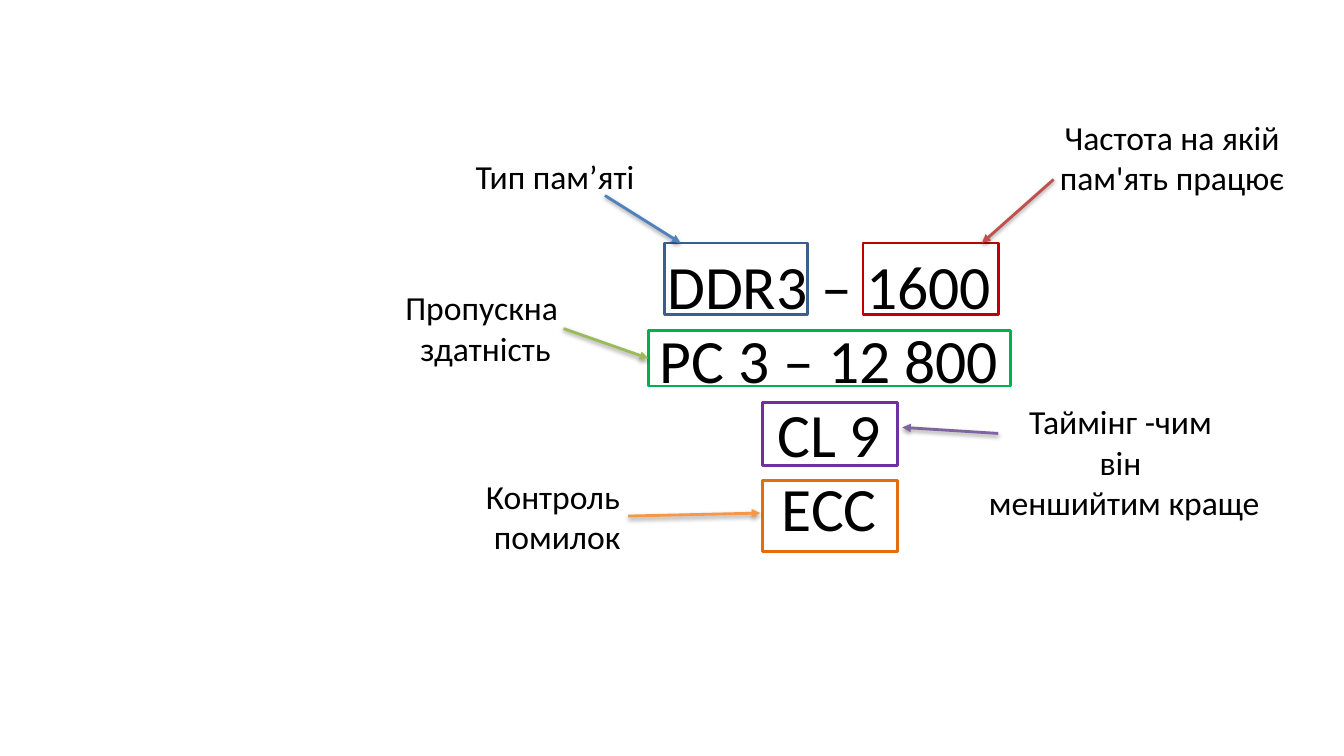
from lxml.etree import SubElement
from pptx import Presentation
from pptx.dml.color import RGBColor
from pptx.enum.shapes import MSO_CONNECTOR, MSO_SHAPE
from pptx.enum.text import MSO_AUTO_SIZE, PP_ALIGN
from pptx.oxml import parse_xml
from pptx.oxml.ns import nsdecls, qn
from pptx.util import Inches, Pt

SHADOW = (
    f'<a:effectLst {nsdecls("a")}>'
    '<a:outerShdw blurRad="40000" dist="20000" dir="5400000" rotWithShape="0">'
    '<a:srgbClr val="000000"><a:alpha val="38000"/></a:srgbClr>'
    '</a:outerShdw></a:effectLst>'
)


def color(hex_code):
    return RGBColor.from_string(hex_code)


def add_text(place, lines, size, align=PP_ALIGN.CENTER):
    """Add an unwrapped text box with one paragraph per line and return its frame."""
    frame = slide.shapes.add_textbox(*map(Inches, place)).text_frame
    frame.word_wrap = False
    frame.auto_size = MSO_AUTO_SIZE.SHAPE_TO_FIT_TEXT
    for i, line in enumerate(lines):
        paragraph = frame.paragraphs[0] if i == 0 else frame.add_paragraph()
        paragraph.alignment = align
        run = paragraph.add_run()
        run.text = line
        run.font.name = "Calibri"
        run.font.size = Pt(size)
        run.font.color.rgb = color("000000")
    return frame


prs = Presentation()
prs.slide_width, prs.slide_height = Inches(13.33), Inches(7.5)
slide = prs.slides.add_slide(prs.slide_layouts[6])

# Memory module marking
add_text((6.43, 2.41, 3.59, 3.06),
         ["DDR3 – 1600", "PC 3 – 12 800", "CL 9", "ECC"], 44)

# Frames around the parts of the marking
frames = {}
for part, place, outline in [
    ("type", (6.59, 2.41, 1.42, 0.71), "3A5F8C"),
    ("frequency", (8.56, 2.41, 1.34, 0.71), "C00000"),
    ("bandwidth", (6.43, 3.28, 3.59, 0.55), "00B050"),
    ("timing", (7.56, 3.99, 1.34, 0.63), "7030A0"),
    ("error check", (7.56, 4.77, 1.34, 0.7), "E46C0A"),
]:
    part_frame = slide.shapes.add_shape(MSO_SHAPE.RECTANGLE, *map(Inches, place))
    part_frame.shadow.inherit = False
    part_frame.fill.background()
    part_frame.line.color.rgb = color(outline)
    part_frame.line.width = Pt(2)
    frames[part] = part_frame

# Arrows from the explanations to the frames
arrows = {}
for part, ends, stroke in [
    ("type", (6, 1.94, 6.75, 2.41), "4F81BD"),
    ("frequency", (10.45, 1.78, 9.74, 2.41), "C0504D"),
    ("bandwidth", (5.59, 3.26, 6.43, 3.55), "9BBB59"),
    ("timing", (9.9, 4.3, 8.95, 4.24), "8064A2"),
    ("error check", (6.23, 5.12, 7.54, 5.09), "F79646"),
]:
    arrow = slide.shapes.add_connector(MSO_CONNECTOR.STRAIGHT, *map(Inches, ends))
    arrow.line.color.rgb = color(stroke)
    arrow.line.width = Pt(2)
    SubElement(arrow.line._get_or_add_ln(), qn("a:tailEnd"), type="triangle")
    arrow._element.spPr.append(parse_xml(SHADOW))
    arrows[part] = arrow
arrows["bandwidth"].end_connect(frames["bandwidth"], 1)

# Explanations
add_text((4.62, 1.5, 1.79, 0.5), ["Тип пам’яті"], 24, PP_ALIGN.LEFT)
add_text((10.4, 1.11, 2.45, 0.91), ["Частота на якій", "пам'ять працює"], 24)
add_text((3.91, 2.8, 1.81, 0.91), ["Пропускна ", "здатність"], 24)
add_text((9.69, 3.93, 2.92, 1.31),
         ["Таймінг -чим ", "він ", "меншийтим краще"], 24)
error_check = add_text((4.72, 4.67, 1.54, 0.91), ["Контроль", "помилок"], 24,
                       PP_ALIGN.LEFT)
indented = error_check.paragraphs[1]._p.get_or_add_pPr()
indented.set("marL", str(Inches(0.08)))
indented.set("indent", "0")

prs.save("out.pptx")
